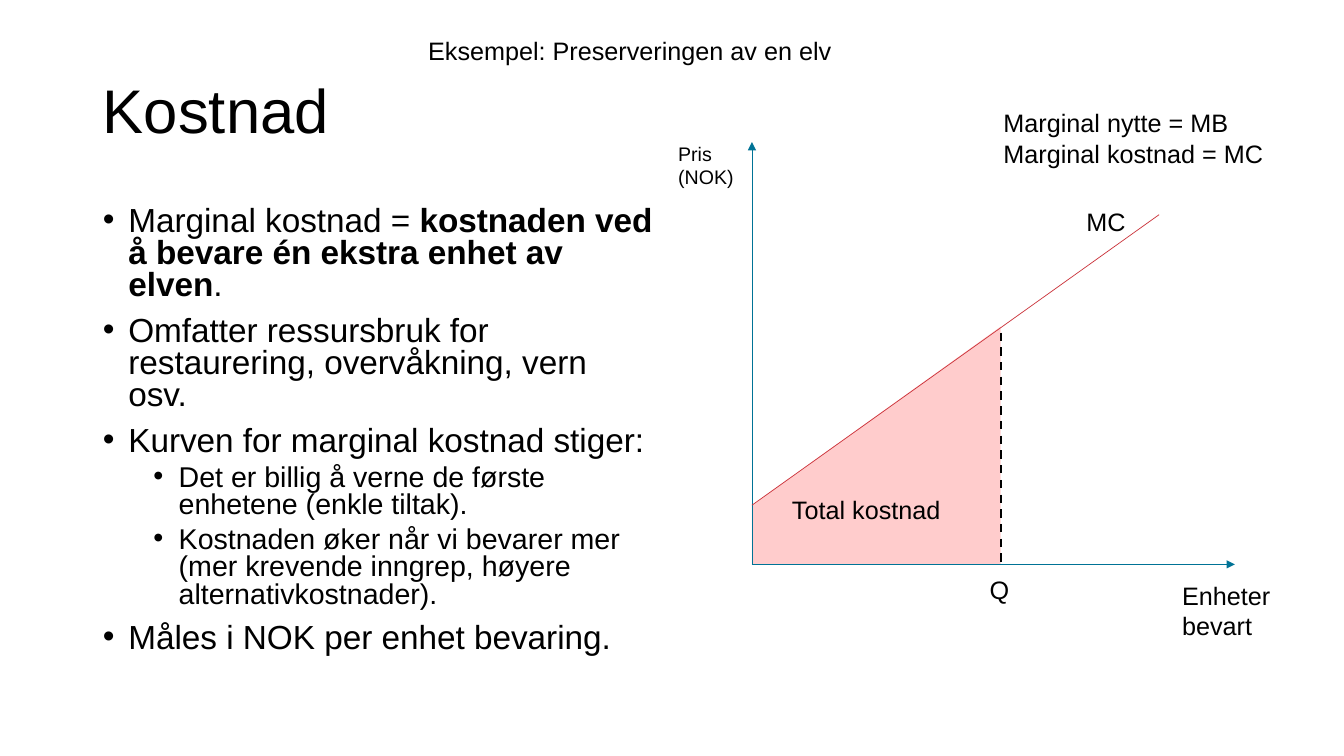
import pptx
import pptx.dml.color
import pptx.enum.dml
import pptx.enum.shapes
import pptx.enum.text
import pptx.oxml
import pptx.oxml.ns
import pptx.util
from lxml import etree

Cm = pptx.util.Cm
Pt = pptx.util.Pt
COLORS = {"text": "000000", "axis": "007396", "cost": "CB333B", "area": "FF0000"}
FONT = "Arial"

ORIGIN_X, ORIGIN_Y = 18.95, 14.22
QUANTITY_X = 25.22
COST_START_Y = 12.73

BULLETS = [
    (0, [("Marginal kostnad = ", False),
         ("kostnaden ved å bevare én ekstra enhet av elven", True),
         (".", False)]),
    (0, [("Omfatter ressursbruk for restaurering, overvåkning, vern osv.", False)]),
    (0, [("Kurven for marginal kostnad stiger:", False)]),
    (1, [("Det er billig å verne de første enhetene (enkle tiltak).", False)]),
    (1, [("Kostnaden øker når vi bevarer mer (mer krevende inngrep, "
          "høyere alternativkostnader).", False)]),
    (0, [("Måles i NOK per enhet bevaring.", False)]),
]

LABELS = [
    ("Eksempel: Preserveringen av en elv", (10.54, 0.76, 11.18, 1.02), 18),
    ("Marginal nytte = MB\nMarginal kostnad = MC", (25.04, 2.59, 7.85, 1.8), 18),
    ("Pris\n(NOK)", (16.84, 3.45, 2.46, 1.45), 14),
    ("Enheter bevart", (29.54, 14.5, 3.33, 1.8), 18),
    ("MC", (27.13, 5.08, 2.08, 1.02), 18),
    ("Q", (24.69, 14.35, 1.07, 1.02), 18),
    ("Total kostnad", (19.71, 12.32, 4.72, 1.02), 18),
]


def rgb(name):
    return pptx.dml.color.RGBColor.from_string(COLORS[name])


def add_text(para, text, size=18, bold=False, color="text"):
    for index, part in enumerate(text.split("\n")):
        if index:
            para.add_line_break()
        span = para.add_run()
        span.text = part
        span.font.name = FONT
        span.font.size = Pt(size)
        span.font.bold = bold
        span.font.color.rgb = rgb(color)


def add_child(parent, tag, **attributes):
    return etree.SubElement(parent, pptx.oxml.ns.qn(tag), **attributes)


class CostPage:
    """Draws the elements of the cost slide in one shared style."""

    def __init__(self, deck):
        self.page = deck.slides.add_slide(deck.slide_layouts[1])
        self.shapes = self.page.shapes

    def place(self, box, bounds):
        box.left, box.top, box.width, box.height = map(Cm, bounds)
        box.text_frame.word_wrap = True
        box.text_frame.auto_size = pptx.enum.text.MSO_AUTO_SIZE.NONE

    def title(self, text, bounds):
        box = self.shapes.title
        self.place(box, bounds)
        box.text_frame.vertical_anchor = pptx.enum.text.MSO_ANCHOR.MIDDLE
        para = box.text_frame.paragraphs[0]
        para.alignment = pptx.enum.text.PP_ALIGN.LEFT
        para.line_spacing = 0.9
        add_text(para, text, size=44)

    def bullets(self, items, bounds):
        box = self.page.placeholders[1]
        self.place(box, bounds)
        frame = box.text_frame
        for index, (level, spans) in enumerate(items):
            para = frame.add_paragraph() if index else frame.paragraphs[0]
            para.level = level
            para.line_spacing = 0.8
            para.space_before = Pt(5 if level else 10)
            properties = para._p.get_or_add_pPr()
            properties.set("marL", str(Cm(0.64 + 1.27 * level)))
            properties.set("indent", str(Cm(-0.64)))
            add_child(properties, "a:buFont", typeface=FONT)
            add_child(properties, "a:buChar", char="•")
            for text, bold in spans:
                add_text(para, text, size=20.4 if level else 23.8, bold=bold)

    def label(self, text, bounds, size):
        box = self.shapes.add_textbox(*map(Cm, bounds))
        box.text_frame.word_wrap = True
        add_text(box.text_frame.paragraphs[0], text, size=size)

    def line(self, start, end, color, width=0.5, arrow=False, dashed=False):
        line = self.shapes.add_connector(
            pptx.enum.shapes.MSO_CONNECTOR.STRAIGHT, *map(Cm, start + end))
        line.line.color.rgb = rgb(color)
        line.line.width = Pt(width)
        if dashed:
            line.line.dash_style = pptx.enum.dml.MSO_LINE.DASH
        if arrow:
            add_child(line.line._get_or_add_ln(), "a:tailEnd", type="triangle")
        add_child(line._element.spPr, "a:effectLst")

    def area(self, points, color, opacity):
        corners = [(Cm(x), Cm(y)) for x, y in points]
        builder = self.shapes.build_freeform(*corners[0])
        builder.add_line_segments(corners[1:], close=True)
        area = builder.convert_to_shape()
        area.shadow.inherit = False
        area.fill.solid()
        area.fill.fore_color.rgb = rgb(color)
        area.line.fill.background()
        tint = area._element.spPr.find(".//" + pptx.oxml.ns.qn("a:srgbClr"))
        add_child(tint, "a:alpha", val=str(opacity * 1000))


def main():
    deck = pptx.Presentation()
    deck.slide_width, deck.slide_height = Cm(33.87), Cm(19.05)
    page = CostPage(deck)
    origin = (ORIGIN_X, ORIGIN_Y)
    page.title("Kostnad", (2.34, 1.02, 29.21, 3.68))
    page.bullets(BULLETS, (2.34, 5.08, 14.4, 12.09))
    page.area([origin, (QUANTITY_X, ORIGIN_Y), (QUANTITY_X, 8.23),
               (ORIGIN_X, COST_START_Y)], "area", 20)
    page.line(origin, (ORIGIN_X, 3.58), "axis", arrow=True)
    page.line(origin, (31.12, ORIGIN_Y), "axis", arrow=True)
    page.line((ORIGIN_X, COST_START_Y), (29.21, 5.41), "cost")
    page.line((QUANTITY_X, 8.38), (QUANTITY_X, ORIGIN_Y), "text",
              width=1.5, dashed=True)
    for text, bounds, size in LABELS:
        page.label(text, bounds, size)
    deck.save("out.pptx")


if __name__ == "__main__":
    main()
